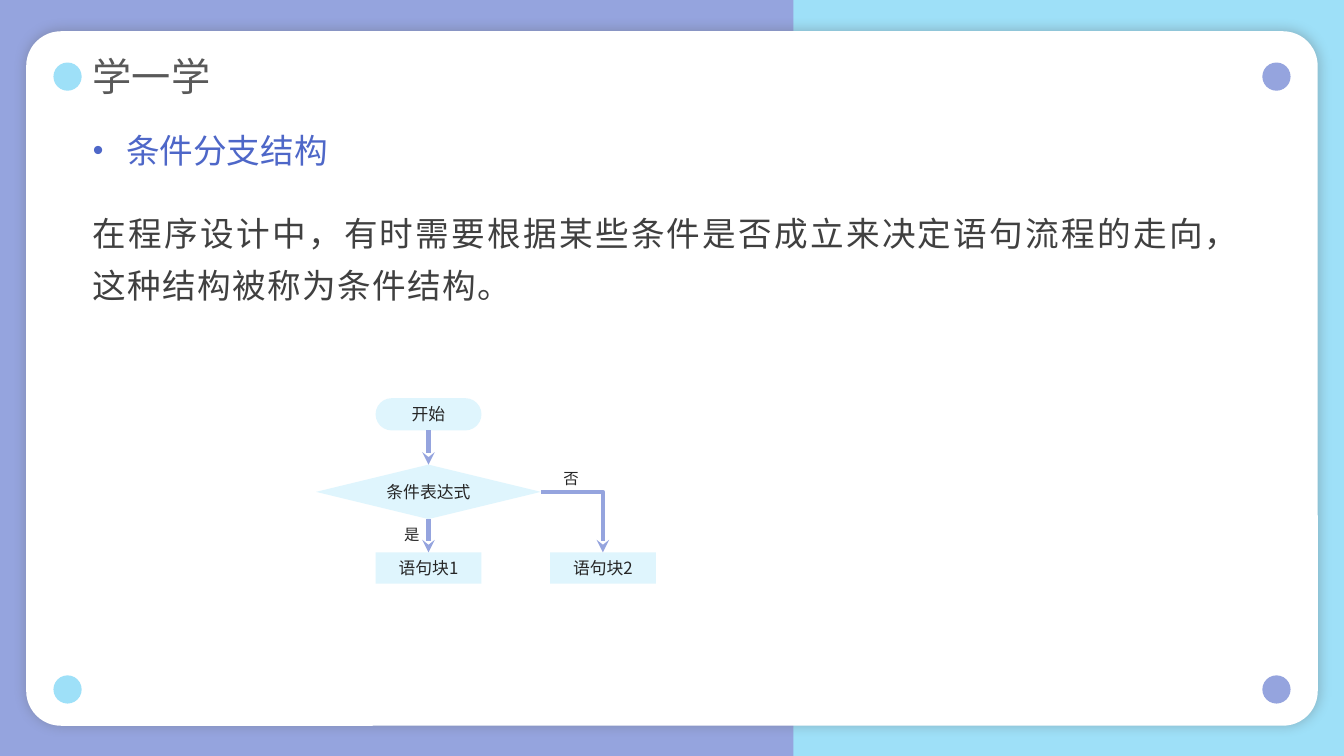
"""Builds a lesson slide on conditional branching with a small flowchart."""
from lxml.etree import SubElement
from pptx import Presentation
from pptx.dml.color import RGBColor
from pptx.enum.shapes import MSO_CONNECTOR, MSO_SHAPE
from pptx.enum.text import MSO_ANCHOR, PP_ALIGN
from pptx.oxml.ns import qn
from pptx.util import Inches, Pt


class Theme:
    font = "Noto Sans CJK SC"
    sky, violet, card, node = "9EE0F8", "95A4DE", "FFFFFF", "DFF5FD"
    title, body, accent, label, shadow = "595959", "404040", "4E67C8", "262626", "595959"
    title_size, body_size, node_size, label_size = 28, 24, 12, 11
    line_width = 3


SLIDE_W, SLIDE_H = 13.33, 7.5
TITLE = "学一学"
HEADING = "条件分支结构"
BODY = "在程序设计中，有时需要根据某些条件是否成立来决定语句流程的走向，这种结构被称为条件结构。"
TEXT_LEFT = 0.92
DOT = 0.28
DOT_COLUMNS = [(0.53, Theme.sky), (12.52, Theme.violet)]
DOT_ROWS = [0.62, 6.7]

MAIN_X, ELSE_X = 4.25, 5.98
NODES = {
    "start": ("开始", MSO_SHAPE.ROUNDED_RECTANGLE, MAIN_X, 3.95, 1.05, 0.32),
    "test": ("条件表达式", MSO_SHAPE.FLOWCHART_DECISION, MAIN_X, 4.61, 2.23, 0.54),
    "then": ("语句块1", MSO_SHAPE.RECTANGLE, MAIN_X, 5.48, 1.05, 0.31),
    "else": ("语句块2", MSO_SHAPE.RECTANGLE, ELSE_X, 5.48, 1.05, 0.31),
}
TOP, BOTTOM, RIGHT = 0, 2, 3
ARROWS = [
    ("start", BOTTOM, "test", MSO_CONNECTOR.STRAIGHT),
    ("test", BOTTOM, "then", MSO_CONNECTOR.STRAIGHT),
    ("test", RIGHT, "else", MSO_CONNECTOR.ELBOW),
]
BRANCH_LABELS = [("是", 3.91, 5.12), ("否", 5.49, 4.57)]


def rgb(value):
    return RGBColor.from_string(value)


def add_block(shapes, kind, x, y, w, h, color):
    sp = shapes.add_shape(kind, Inches(x), Inches(y), Inches(w), Inches(h))
    sp.shadow.inherit = False
    sp.fill.solid()
    sp.fill.fore_color.rgb = rgb(color)
    sp.line.fill.background()
    return sp


def write(sp, text, size, color, margins, anchor=MSO_ANCHOR.MIDDLE, spacing=None):
    tf = sp.text_frame
    tf.word_wrap = True
    tf.vertical_anchor = anchor
    tf.margin_left = tf.margin_right = Inches(margins[0])
    tf.margin_top = tf.margin_bottom = Inches(margins[1])
    p = tf.paragraphs[0]
    if spacing:
        p.line_spacing = spacing
    r = p.add_run()
    r.text = text
    r.font.size = Pt(size)
    r.font.name = Theme.font
    r.font.color.rgb = rgb(color)
    SubElement(r._r.get_or_add_rPr(), qn("a:ea"), typeface=Theme.font)
    return p


def add_text(shapes, x, y, w, h, text, size, color, margins=(0, 0.05), **options):
    sp = shapes.add_textbox(Inches(x), Inches(y), Inches(w), Inches(h))
    return write(sp, text, size, color, margins, **options)


def add_bullet(p, indent):
    pPr = p._p.get_or_add_pPr()
    pPr.set("marL", str(Inches(indent)))
    pPr.set("indent", str(-Inches(indent)))
    SubElement(pPr, qn("a:buSzPct"), val="90000")
    SubElement(pPr, qn("a:buFont"), typeface="Arial")
    SubElement(pPr, qn("a:buChar"), char="•")


def add_glow(sp, color, alpha, blur, distance):
    effects = sp._element.spPr.find(qn("a:effectLst"))
    shadow = SubElement(effects, qn("a:outerShdw"), blurRad=str(Pt(blur)),
                        dist=str(Pt(distance)), dir="0", algn="ctr", rotWithShape="0")
    tint = SubElement(shadow, qn("a:srgbClr"), val=color)
    SubElement(tint, qn("a:alpha"), val=str(alpha * 1000))


def add_arrow(shapes, source, side, target, kind):
    cxn = shapes.add_connector(kind, 0, 0, 0, 0)
    cxn.begin_connect(source, side)
    cxn.end_connect(target, TOP)
    cxn.line.color.rgb = rgb(Theme.violet)
    cxn.line.width = Pt(Theme.line_width)
    spPr = cxn._element.spPr
    SubElement(cxn.line._get_or_add_ln(), qn("a:tailEnd"), type="stealth")
    SubElement(spPr, qn("a:effectLst"))
    if kind == MSO_CONNECTOR.ELBOW:
        spPr.find(qn("a:prstGeom")).set("prst", "bentConnector2")


def add_frame(s):
    s.background.fill.solid()
    s.background.fill.fore_color.rgb = rgb(Theme.sky)
    add_block(s.shapes, MSO_SHAPE.RECTANGLE, 0, 0, 7.87, SLIDE_H, Theme.violet)
    card = add_block(s.shapes, MSO_SHAPE.ROUNDED_RECTANGLE, 0.26, 0.31, 12.81, 6.89, Theme.card)
    card.adjustments[0] = 0.05
    add_glow(card, Theme.shadow, alpha=36, blur=9, distance=1)
    for y in DOT_ROWS:
        for x, color in DOT_COLUMNS:
            add_block(s.shapes, MSO_SHAPE.OVAL, x, y, DOT, DOT, color)


def add_copy(shapes):
    add_text(shapes, TEXT_LEFT, 0.52, 5.59, 0.53, TITLE, Theme.title_size, Theme.title, spacing=0.9)
    p = add_text(shapes, TEXT_LEFT, 1.94, 11.38, 1.81, BODY, Theme.body_size, Theme.body,
                 anchor=MSO_ANCHOR.TOP, spacing=1.3)
    p.alignment = PP_ALIGN.JUSTIFY
    p.runs[0]._r.get_or_add_rPr().set("spc", "100")
    p = add_text(shapes, TEXT_LEFT, 1.24, 5.59, 0.5, HEADING, Theme.body_size, Theme.accent)
    add_bullet(p, 0.33)


def add_flowchart(shapes):
    nodes = {}
    for key, (text, kind, center, y, w, h) in NODES.items():
        sp = nodes[key] = add_block(shapes, kind, center - w / 2, y, w, h, Theme.node)
        if kind == MSO_SHAPE.ROUNDED_RECTANGLE:
            sp.adjustments[0] = 0.5
        p = write(sp, text, Theme.node_size, Theme.label, (0, 0))
        p.alignment = PP_ALIGN.CENTER
    for source, side, target, kind in ARROWS:
        add_arrow(shapes, nodes[source], side, nodes[target], kind)
    for text, x, y in BRANCH_LABELS:
        add_text(shapes, x, y, 0.36, 0.31, text, Theme.label_size, Theme.label, (0.1, 0.05),
                 anchor=MSO_ANCHOR.TOP, spacing=1.2)


def main():
    prs = Presentation()
    prs.slide_width, prs.slide_height = Inches(SLIDE_W), Inches(SLIDE_H)
    s = prs.slides.add_slide(prs.slide_layouts[6])
    add_frame(s)
    add_copy(s.shapes)
    add_flowchart(s.shapes)
    prs.save("out.pptx")


if __name__ == "__main__":
    main()
